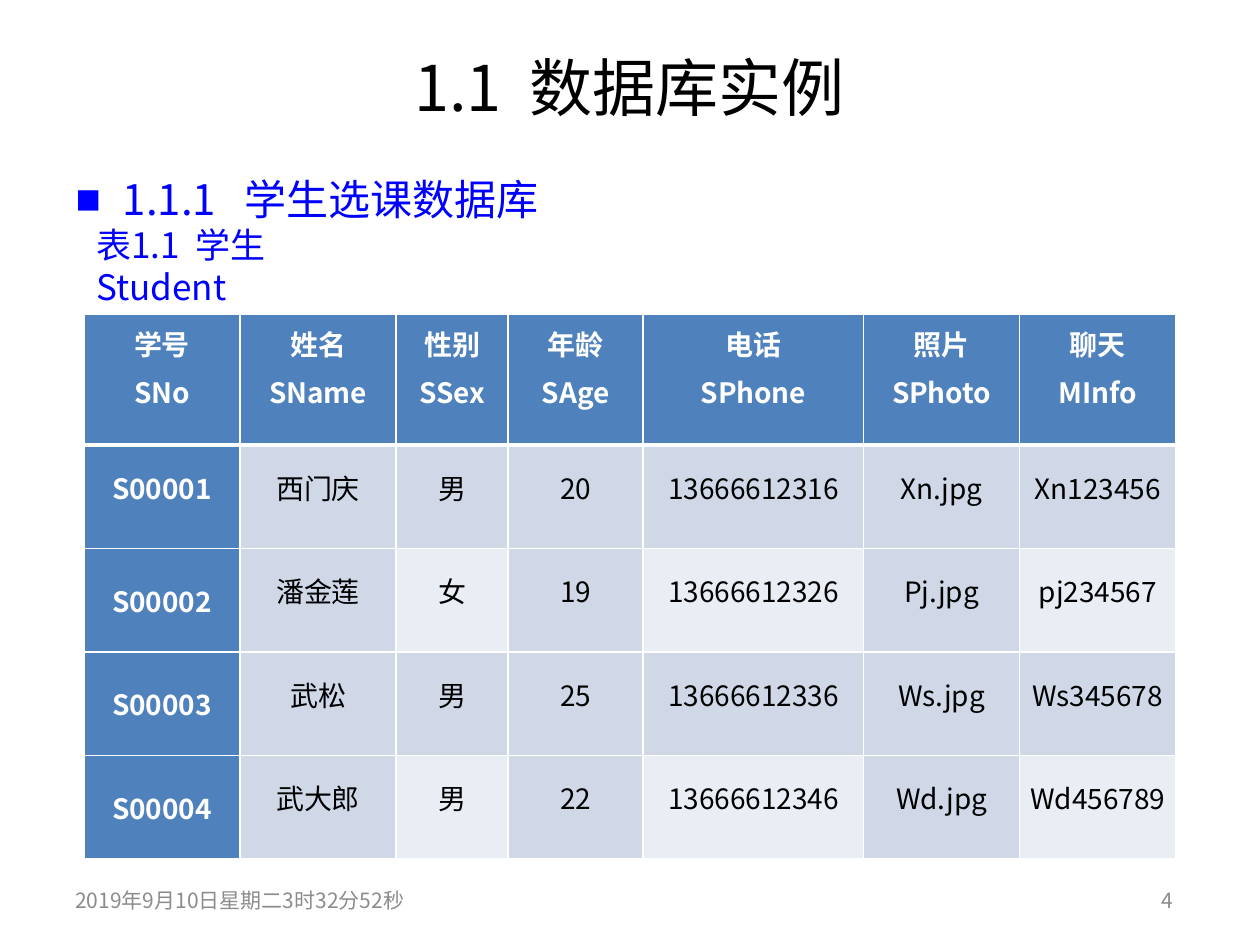
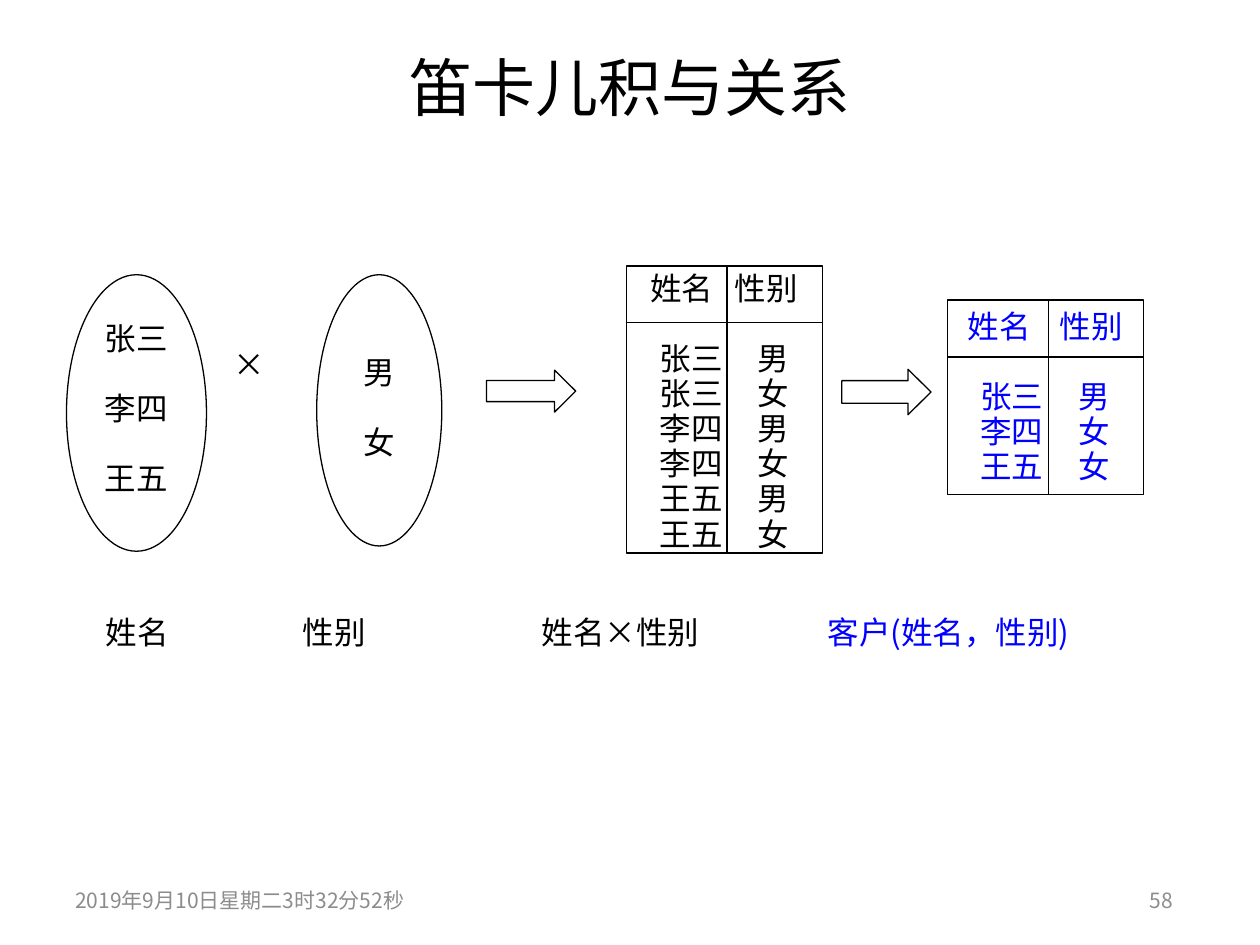
"""Build two slides on database examples and Cartesian products."""
from dataclasses import dataclass
from typing import Any, NamedTuple

from lxml.etree import SubElement as Sub
from pptx import Presentation
from pptx.dml.color import RGBColor as Rgb
from pptx.enum.shapes import MSO_CONNECTOR as Link, MSO_SHAPE as Kind
from pptx.enum.text import MSO_ANCHOR as Anchor, MSO_AUTO_SIZE as Auto, PP_ALIGN as Align
from pptx.oxml.ns import qn
from pptx.util import Pt


@dataclass(frozen=True)
class Theme:
    """Shared font, colours and type sizes."""
    font: str = "Noto Sans CJK SC"
    ink: str = "000000"
    blue: str = "0000FF"
    gray: str = "8C8C8C"
    white: str = "FFFFFF"
    head: str = "4F81BD"
    dark: str = "D0D8E8"
    light: str = "E9EDF4"
    title: int = 36
    item: int = 24
    label: int = 20
    text: int = 18
    cell: int = 16
    foot: int = 12


T = Theme()


class Box(NamedTuple):
    """Position and size in points."""
    x: float
    y: float
    w: float
    h: float


class Look(NamedTuple):
    """Character and paragraph settings."""
    size: int
    color: str = T.ink
    bold: bool = False
    align: Any = Align.LEFT
    pitch: float = 0
    before: float = 0
    gap: float = 0


class Oval(NamedTuple):
    """A set drawn as an ellipse."""
    box: Box
    names: str
    top: float


class Grid(NamedTuple):
    """A small relation with one head and its rows."""
    box: Box
    rows: str
    color: str
    pitch: float
    head: tuple[float, float]
    body: tuple[float, float]


FOOT = "2019年9月10日星期二3时32分52秒"
COLS = (89.2, 89.2, 64, 77.2, 126, 89.2, 89.2)
HEADS = ("学号\nSNo", "姓名\nSName", "性别\nSSex", "年龄\nSAge",
         "电话\nSPhone", "照片\nSPhoto", "聊天\nMInfo")
PUPILS = (
    ("S00001", "西门庆", "男", "20", "13666612316", "Xn.jpg", "Xn123456"),
    ("S00002", "潘金莲", "女", "19", "13666612326", "Pj.jpg", "pj234567"),
    ("S00003", "武松", "男", "25", "13666612336", "Ws.jpg", "Ws345678"),
    ("S00004", "武大郎", "男", "22", "13666612346", "Wd.jpg", "Wd456789"),
)
OVALS = (
    Oval(Box(38, 157, 80, 158), "张三\n李四\n王五", 3.6),
    Oval(Box(181, 157, 71.5, 155), "男\n女", 23.6),
)
ARROWS = (Box(278, 211.5, 51, 24), Box(481, 211, 51, 26))
GRIDS = (
    Grid(Box(358, 152, 112, 164),
         "\t姓名\t性别\n\t张三\t男\n\t张三\t女\n\t李四\t男\n\t李四\t女\n\t王五\t男\n\t王五\t女",
         T.ink, 20, (13.5, 62), (19, 75)),
    Grid(Box(541.5, 171.5, 112, 111), "\t姓名\t性别\n\t张三\t男\n\t李四\t女\n\t王五\t女",
         T.blue, 22, (11.5, 64), (18.5, 75)),
)


def place(shape: Any, box: Box) -> None:
    """Move and size a shape."""
    shape.left, shape.top, shape.width, shape.height = map(Pt, box)


def style(run: Any, look: Look) -> None:
    """Format one run, with the same font for all scripts."""
    font = run.font
    font.name, font.size, font.bold = T.font, Pt(look.size), look.bold
    font.color.rgb = Rgb.from_string(look.color)
    Sub(run._r.get_or_add_rPr(), qn("a:ea"), typeface=T.font)


def write(frame: Any, text: str, look: Look) -> None:
    """Fill a text frame; a gap widens the first space of a line."""
    frame.text = text
    for no, par in enumerate(frame.paragraphs):
        par.alignment = look.align
        par.space_before = Pt(look.before if no else 0)
        if look.pitch:
            par.line_spacing = Pt(look.pitch)
        if look.gap:
            par.text, *rest = par.text.partition(" ")
            for part in rest:
                par.add_run().text = part
        for run in par.runs:
            style(run, look)
            if look.gap and run.text == " ":
                run._r.get_or_add_rPr().set("spc", str(round(look.gap * 100)))


def tabs(par: Any, stops: tuple[float, ...]) -> None:
    """Add left tab stops to a paragraph."""
    items = Sub(par._p.get_or_add_pPr(), qn("a:tabLst"))
    for stop in stops:
        Sub(items, qn("a:tab"), pos=str(Pt(stop)), algn="l")


def label(slide: Any, box: Box, text: str, look: Look, anchor: Any = Anchor.MIDDLE) -> Any:
    """Add a wrapped text box and return its frame."""
    frame = slide.shapes.add_textbox(*map(Pt, box)).text_frame
    frame.word_wrap, frame.vertical_anchor = True, anchor
    write(frame, text, look)
    return frame


def start(deck: Any, kind: int, title: str, page: int, gap: float = 0) -> Any:
    """Add a slide with its title, date and number."""
    slide = deck.slides.add_slide(deck.slide_layouts[kind])
    head = slide.shapes.title
    place(head, Box(36, 21.5, 647.5, 55.5))
    head.text_frame.auto_size = Auto.NONE
    head.text_frame.vertical_anchor = Anchor.MIDDLE
    write(head.text_frame, title, Look(T.title, align=Align.CENTER, gap=gap))
    label(slide, Box(36, 500, 216, 29), FOOT, Look(T.foot, T.gray))
    label(slide, Box(516, 500, 161.5, 29), str(page), Look(T.foot, T.gray, align=Align.RIGHT))
    return slide


def shape(slide: Any, kind: Any, box: Box) -> Any:
    """Add a white shape with a thin black line."""
    item = slide.shapes.add_shape(kind, *map(Pt, box))
    item.shadow.inherit = False
    item.fill.solid()
    item.fill.fore_color.rgb = Rgb.from_string(T.white)
    item.line.color.rgb, item.line.width = Rgb.from_string(T.ink), Pt(0.75)
    frame = item.text_frame
    frame.vertical_anchor = Anchor.TOP
    frame.margin_left = frame.margin_right = 0
    return item


def rule(slide: Any, x: float, y: float, w: float, h: float) -> None:
    """Draw a thin black line."""
    line = slide.shapes.add_connector(Link.STRAIGHT, *map(Pt, (x, y, x + w, y + h)))
    line.line.color.rgb, line.line.width = Rgb.from_string(T.ink), Pt(0.75)
    Sub(line._element.spPr, qn("a:effectLst"))


def edge(cell: Any, row: int) -> None:
    """Give a cell white borders, thick under the head row."""
    props = cell._tc.get_or_add_tcPr()
    thick = {"lnB": row == 0, "lnT": row == 1}
    for no, side in enumerate(("lnL", "lnR", "lnT", "lnB")):
        line = props.makeelement(qn(f"a:{side}"), {"w": str(Pt(3 if thick.get(side) else 1))})
        Sub(Sub(line, qn("a:solidFill")), qn("a:srgbClr"), val=T.white)
        props.insert(no, line)


def roster(slide: Any) -> None:
    """Draw the student table."""
    data = (HEADS, *PUPILS)
    table = slide.shapes.add_table(len(data), len(COLS), *map(Pt, (48, 179.5, 624, 311.5))).table
    for col, width in zip(table.columns, COLS):
        col.width = Pt(width)
    for row, texts in enumerate(data):
        table.rows[row].height = Pt(59.2 if row else 74.7)
        for col, text in enumerate(texts):
            cell = table.cell(row, col)
            key = row == 0 or col == 0
            pale = row % 2 == 0 and col % 2 == 0
            cell.fill.solid()
            cell.fill.fore_color.rgb = Rgb.from_string(T.head if key else T.light if pale else T.dark)
            cell.vertical_anchor = Anchor.MIDDLE
            cell.margin_left = cell.margin_right = Pt(1.5)
            cell.margin_top = cell.margin_bottom = 0
            pitch = 9 if row == 0 else 0 if col == 0 and row > 1 else 12
            write(cell.text_frame, text,
                  Look(T.cell, T.white if key else T.ink, key, Align.CENTER, pitch, 18))
            edge(cell, row)


def sample(deck: Any) -> None:
    """Build the slide with the student table."""
    slide = start(deck, 1, "1.1 数据库实例", 4, 8)
    body = slide.placeholders[1]
    place(body, Box(36, 88.5, 648, 45.5))
    body.text_frame.auto_size = Auto.NONE
    write(body.text_frame, "1.1.1 学生选课数据库", Look(T.item, T.blue, pitch=36, gap=11))
    props = body.text_frame.paragraphs[0]._p.get_or_add_pPr()
    props.set("marL", str(Pt(27)))
    props.set("indent", str(Pt(-27)))
    Sub(props, qn("a:buChar"), char="■")
    roster(slide)
    label(slide, Box(48, 135.5, 180, 32), "表1.1 学生Student", Look(T.label, T.blue, gap=4.5))


def relate(slide: Any, grid: Grid) -> None:
    """Draw a relation as a ruled frame with tabbed rows."""
    x, y, w, h = grid.box
    frame = shape(slide, Kind.RECTANGLE, grid.box).text_frame
    write(frame, grid.rows, Look(T.text, grid.color, pitch=20))
    head, *body = frame.paragraphs
    head.line_spacing, body[0].space_before = Pt(grid.pitch), Pt(20)
    tabs(head, grid.head)
    for par in body:
        tabs(par, grid.body)
    rule(slide, x, y + 32.5, w, 0)
    rule(slide, x + 57.5, y, 0, h)


def product(deck: Any) -> None:
    """Build the slide on the Cartesian product."""
    slide = start(deck, 5, "笛卡儿积与关系", 58)
    for oval in OVALS:
        frame = shape(slide, Kind.OVAL, oval.box).text_frame
        frame.margin_top = Pt(oval.top)
        write(frame, oval.names, Look(T.text, align=Align.CENTER, pitch=20, before=20))
    label(slide, Box(126.5, 195, 41, 53), "×", Look(T.text, pitch=20), Anchor.TOP)
    for box in ARROWS:
        shape(slide, Kind.RIGHT_ARROW, box).adjustments[1] = 0.505
    for grid in GRIDS:
        relate(slide, grid)
    names = label(slide, Box(49, 346.5, 639.5, 29), "姓名\t性别\t姓名×性别\t", Look(T.text), Anchor.TOP)
    names.margin_left = Pt(11.5)
    par = names.paragraphs[0]
    tabs(par, (112.5, 249, 412.5))
    last = par.add_run()
    last.text = "客户(姓名，性别)"
    style(last, Look(T.text, T.blue))


def main() -> None:
    """Build and save the deck."""
    deck = Presentation()
    deck.slide_width, deck.slide_height = Pt(720), Pt(540)
    sample(deck)
    product(deck)
    deck.save("out.pptx")


if __name__ == "__main__":
    main()
